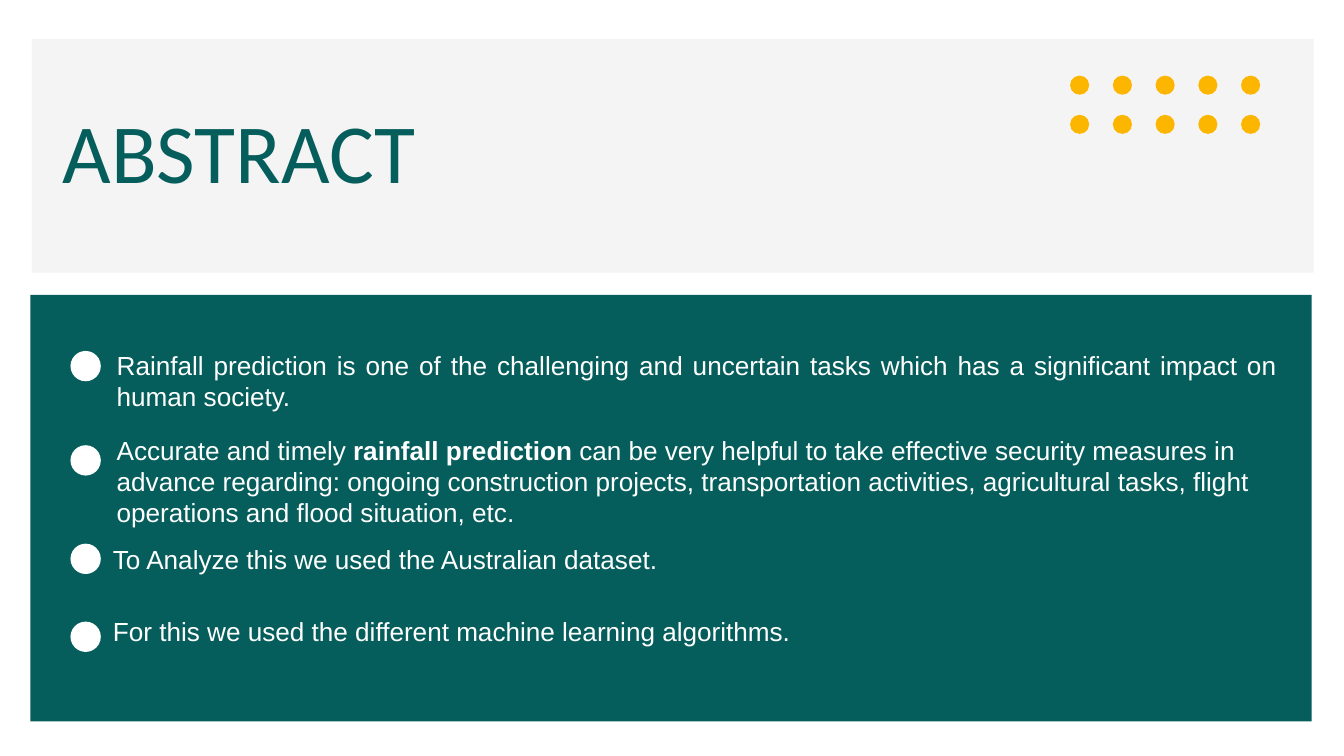
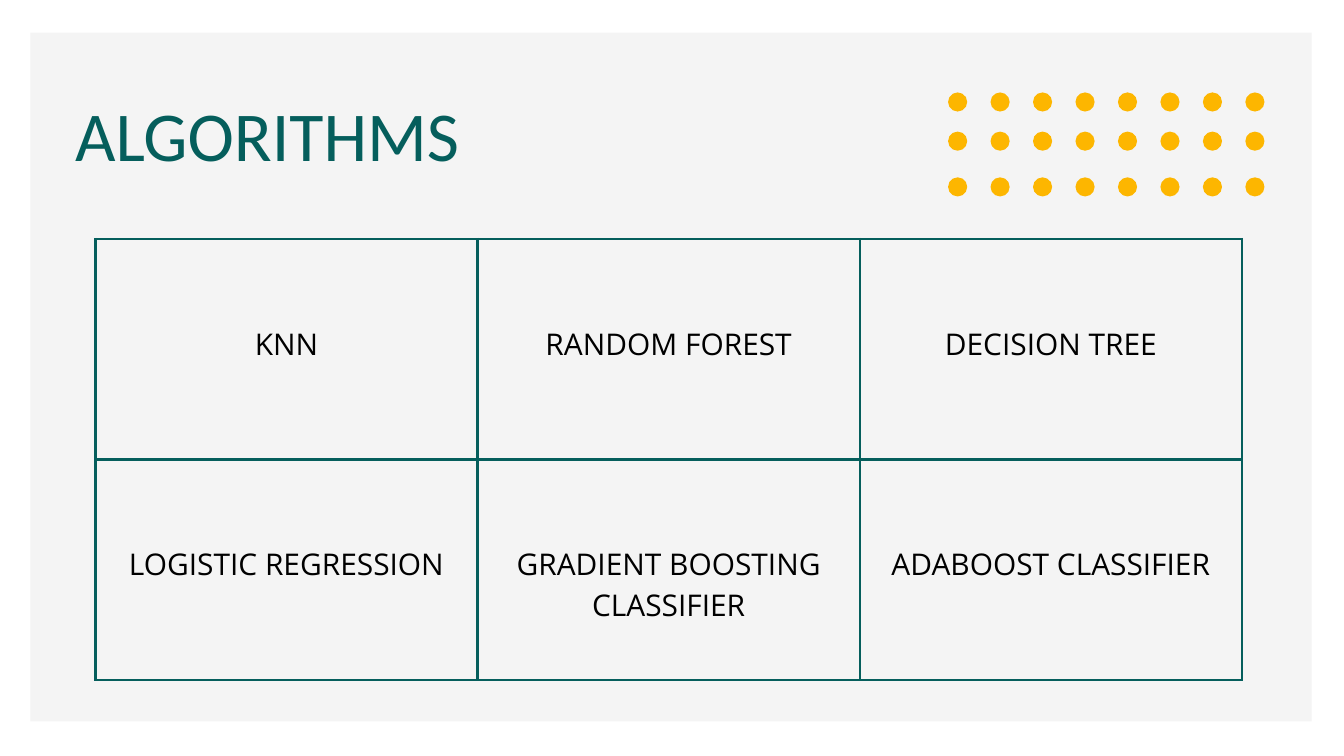
from lxml.etree import SubElement
from pptx import Presentation
from pptx.dml.color import RGBColor
from pptx.enum.shapes import MSO_SHAPE
from pptx.enum.text import MSO_ANCHOR, MSO_AUTO_SIZE, PP_ALIGN
from pptx.oxml.ns import qn
from pptx.util import Pt

TEAL, GREY, GOLD, WHITE, BLACK = "055E5C", "F4F4F4", "FDB600", "FFFFFF", "000000"
RECT, OVAL = MSO_SHAPE.RECTANGLE, MSO_SHAPE.OVAL
ITEM = {"name": "Arial", "size": Pt(28)}
CELL = {"name": "Open Sans", "size": Pt(32), "bold": False}

ABSTRACT = {
    "title": ("ABSTRACT", 90, 1.0, (67, 107, 739, 109)),
    "panels": [(GREY, (34, 42, 1373.5, 250)), (TEAL, (32.5, 316, 1373, 457))],
    "dots": (1146.5, 45.8, 5, [81, 123]),
}
ALGORITHMS = {
    "title": ("ALGORITHMS", 75, 1.2, (80.5, 80.5, 513, 109)),
    "panels": [(GREY, (32.5, 35, 1373, 738))],
    "dots": (1015.8, 45.5, 8, [99, 141, 190]),
}
DOT = 20.5

# Space above, indent, alignment, top of the disc, runs of (text, bold)
ITEMS = [
    (0, 4, PP_ALIGN.JUSTIFY, 376, [
        ("Rainfall prediction is one of the challenging and uncertain tasks "
         "which has a significant impact on human society.", False)]),
    (25, 4, PP_ALIGN.LEFT, 477, [
        ("Accurate and timely ", False),
        ("rainfall prediction", True),
        (" can be very helpful to take effective security measures in advance "
         "regarding: ongoing construction projects, transportation activities, "
         "agricultural tasks, flight operations and flood situation, etc.", False)]),
    (17.5, 0, PP_ALIGN.LEFT, 582.5, [
        ("To Analyze this we used the Australian dataset.", False)]),
    (45, 0, PP_ALIGN.LEFT, 666, [
        ("For this we used the different machine learning algorithms.", False)]),
]
LIST_BOX = (121, 375, 1246, 360)
DISC_LEFT, DISC, LINE = 75.5, 32.5, 33

METHODS = [
    ["KNN", "RANDOM FOREST", "DECISION TREE"],
    ["LOGISTIC REGRESSION", "GRADIENT BOOSTING CLASSIFIER", "ADABOOST CLASSIFIER"],
]
TABLE_BOX = (102.3, 256.3, 1228.5, 472.4)
CELL_TOP, BORDER = 90, 3


def points(box):
    return [Pt(n) for n in box]


def rgb(code):
    return RGBColor.from_string(code)


def assign(target, values):
    for name, value in values.items():
        setattr(target, name, value)


def style(font, values, color):
    assign(font, values)
    font.color.rgb = rgb(color)


def add_form(shapes, kind, color, box):
    form = shapes.add_shape(kind, *points(box))
    form.shadow.inherit = False
    form.fill.solid()
    form.fill.fore_color.rgb = rgb(color)
    form.line.fill.background()
    return form


def place(holder, box):
    """Move a placeholder and let its text start at its top left corner."""
    assign(holder, dict(zip(("left", "top", "width", "height"), points(box))))
    frame = holder.text_frame
    assign(frame, {"word_wrap": True, "auto_size": MSO_AUTO_SIZE.NONE,
                   "vertical_anchor": MSO_ANCHOR.TOP, "margin_left": 0,
                   "margin_top": 0, "margin_right": 0, "margin_bottom": 0})
    return frame


def add_slide(deck, layout, look):
    """Add a slide with the shared title, panels and grid of dots."""
    slide = deck.slides.add_slide(deck.slide_layouts.get_by_name(layout))
    text, size, spacing, box = look["title"]
    title = slide.shapes.title
    for color, area in look["panels"]:
        panel = add_form(slide.shapes, RECT, color, area)
        title.element.addprevious(panel.element)
    para = place(title, box).paragraphs[0]
    assign(para, {"text": text, "alignment": PP_ALIGN.LEFT, "line_spacing": spacing})
    style(para.runs[0].font, {"name": "Calibri", "size": Pt(size)}, TEAL)

    left, pitch, count, tops = look["dots"]
    grid = slide.shapes.add_group_shape()
    for top in tops:
        for col in range(count):
            add_form(grid.shapes, OVAL, GOLD, (left + col * pitch, top, DOT, DOT))
    return slide


def add_list(slide):
    frame = place(slide.placeholders[1], LIST_BOX)
    for i, (gap, indent, align, top, runs) in enumerate(ITEMS):
        para = frame.add_paragraph() if i else frame.paragraphs[0]
        assign(para, {"alignment": align, "space_before": Pt(gap),
                      "line_spacing": Pt(LINE)})
        props = para._p.get_or_add_pPr()
        props.set("marL", str(Pt(indent)))
        props.set("indent", "0")
        SubElement(props, qn("a:buNone"))
        for text, bold in runs:
            run = para.add_run()
            run.text = text
            style(run.font, {**ITEM, "bold": bold}, WHITE)
        add_form(slide.shapes, OVAL, WHITE, (DISC_LEFT, top, DISC, DISC))


def add_border(cell):
    props = cell._tc.get_or_add_tcPr()
    for side in ("a:lnL", "a:lnR", "a:lnT", "a:lnB"):
        line = SubElement(props, qn(side), w=str(Pt(BORDER)))
        fill = SubElement(line, qn("a:solidFill"))
        SubElement(fill, qn("a:srgbClr"), val=TEAL)


def add_methods(slide):
    shape = slide.shapes.add_table(len(METHODS), len(METHODS[0]), *points(TABLE_BOX))
    table = shape.table
    assign(table, {"first_row": False, "horz_banding": False})
    for r, row in enumerate(METHODS):
        for c, text in enumerate(row):
            cell = table.cell(r, c)
            assign(cell, {"text": text, "margin_top": Pt(CELL_TOP),
                          "vertical_anchor": MSO_ANCHOR.TOP})
            add_border(cell)
            cell.fill.background()
            para = cell.text_frame.paragraphs[0]
            para.alignment = PP_ALIGN.CENTER
            style(para.runs[0].font, CELL, BLACK)


def main():
    deck = Presentation()
    assign(deck, {"slide_width": Pt(1440), "slide_height": Pt(810)})
    add_list(add_slide(deck, "Title and Content", ABSTRACT))
    add_methods(add_slide(deck, "Title Only", ALGORITHMS))
    deck.save("out.pptx")


if __name__ == "__main__":
    main()
